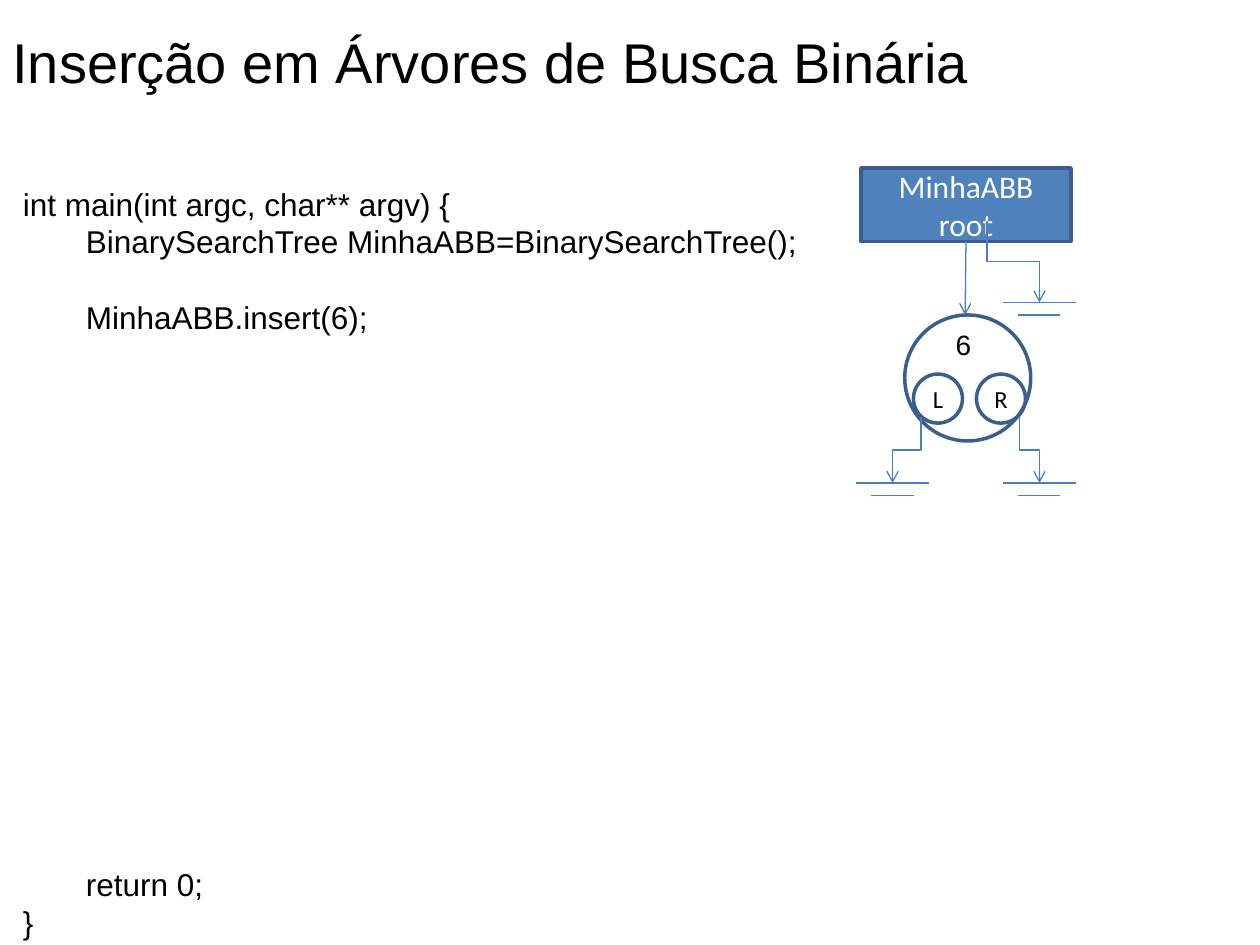
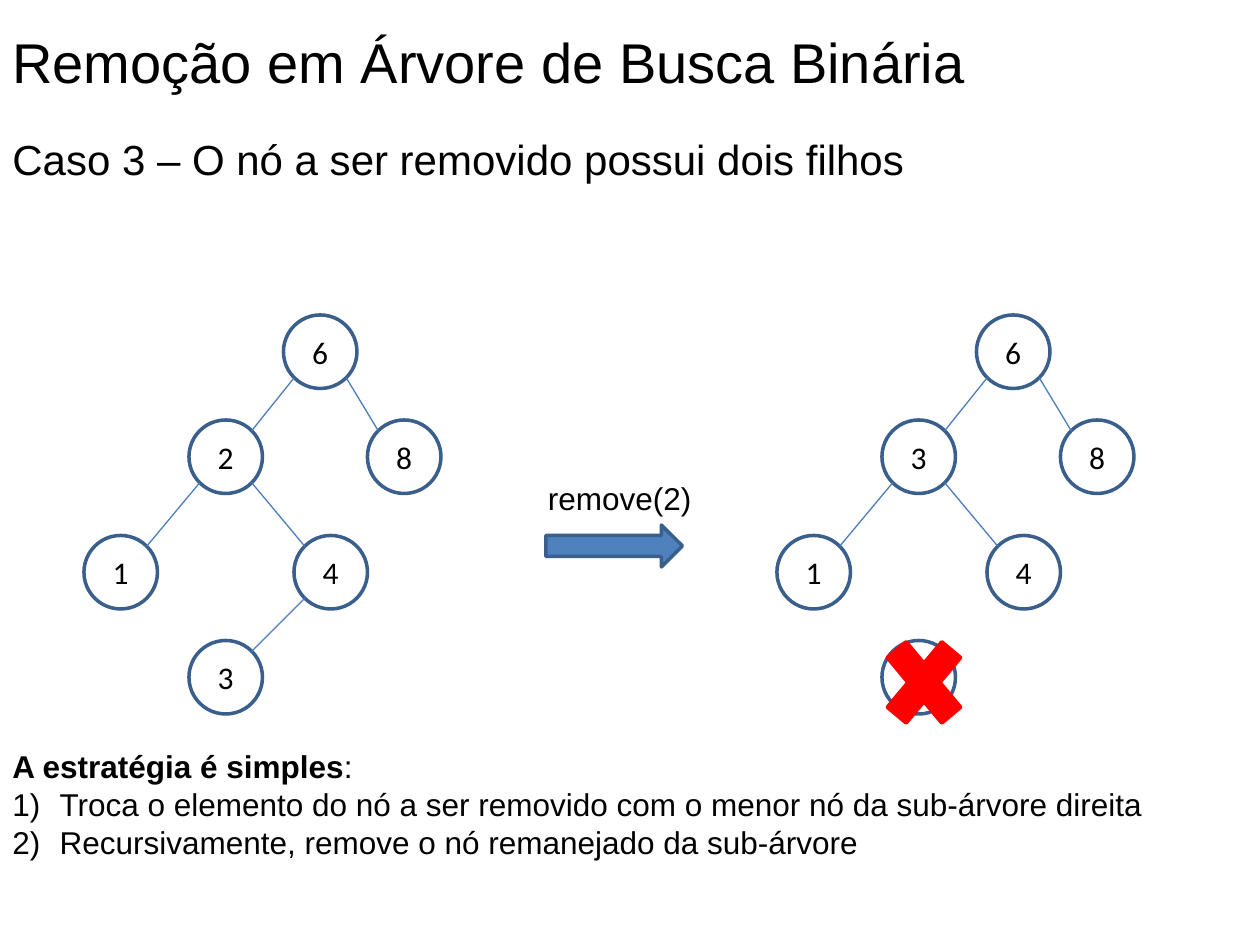
from math import sqrt
from lxml.etree import SubElement
from pptx import Presentation
from pptx.dml.color import RGBColor
from pptx.enum.shapes import MSO_CONNECTOR, MSO_SHAPE
from pptx.enum.text import MSO_ANCHOR, PP_ALIGN
from pptx.oxml.ns import qn
from pptx.util import Pt

BLACK, WHITE, RED = "000000", "FFFFFF", "FF0000"
BLUE, OUTLINE, LINK = "4F81BD", "3A5F8C", "4B7EBC"
CODE_SIZE = 18
LINE_FACTOR = 1.2

INSERTION_TITLE = "Inserção em Árvores de Busca Binária"
CODE = [
    ("int main(int argc, char** argv) {", 0),
    ("\tBinarySearchTree MinhaABB=BinarySearchTree();", 0),
    ("\tMinhaABB.insert(6);", 1),
    ("\treturn 0;", 14),
    ("}", 0),
]
ROOT_LABEL = ["MinhaABB", "root"]
ROOT_KEY = "6"
CHILD_POINTERS = [("L", 522), ("R", 558)]
NULL_LINKS = [
    ((564, 126), (594, 172.8)),
    ((526.3, 238.3), (510, 276)),
    ((582.5, 238.3), (594, 276)),
]

REMOVAL_TITLE = "Remoção em Árvore de Busca Binária"
CASE = "Caso 3 – O nó a ser removido possui dois filhos"
OPERATION = "remove(2)"
STRATEGY = "A estratégia é simples"
STEPS = [
    "Troca o elemento do nó a ser removido com o menor nó da sub-árvore direita",
    "Recursivamente, remove o nó remanejado da sub-árvore",
]
NODE_SIZE = 42
NODE_PLACES = {
    "root": (162, 180),
    "right": (210, 240),
    "left": (108, 240),
    "left.right": (168, 306),
    "successor": (108, 366),
    "left.left": (48, 306),
}
EDGES = [
    ("root", "right"),
    ("root", "left"),
    ("left", "left.right"),
    ("left", "left.left"),
]
TREES = [
    (0, ["6", "8", "2", "4", "3", "1"], EDGES + [("left.right", "successor")]),
    (396, ["6", "8", "3", "4", "", "1"], EDGES),
]


def color(value):
    return RGBColor.from_string(value)


def style(paragraph, size, font, ink):
    paragraph.font.size = Pt(size)
    paragraph.font.name = font
    paragraph.font.color.rgb = color(ink)


def add_text(slide, box, lines, size=CODE_SIZE, wrap=False, align=PP_ALIGN.LEFT):
    frame = slide.shapes.add_textbox(*map(Pt, box)).text_frame
    frame.word_wrap = wrap
    for index, line in enumerate(lines):
        paragraph = frame.paragraphs[0] if index == 0 else frame.add_paragraph()
        paragraph.text = line
        paragraph.alignment = align
        paragraph.line_spacing = Pt(size * LINE_FACTOR)
        style(paragraph, size, "Arial", BLACK)
    return frame.paragraphs


def add_title(slide, title):
    add_text(slide, (0, 12, 565, 46), [title], size=32)


def add_figure(slide, kind, box, fill=None, outline=OUTLINE, lines=(), size=18, ink=BLACK):
    figure = slide.shapes.add_shape(kind, *map(Pt, box))
    figure.shadow.inherit = False
    if fill:
        figure.fill.solid()
        figure.fill.fore_color.rgb = color(fill)
    else:
        figure.fill.background()
    figure.line.color.rgb = color(outline)
    figure.line.width = Pt(2)
    frame = figure.text_frame
    frame.vertical_anchor = MSO_ANCHOR.MIDDLE
    frame.margin_left = frame.margin_right = frame.margin_top = frame.margin_bottom = 0
    for index, line in enumerate(lines):
        paragraph = frame.paragraphs[0] if index == 0 else frame.add_paragraph()
        paragraph.text = line
        paragraph.alignment = PP_ALIGN.CENTER
        style(paragraph, size, "Calibri", ink)
    return figure


def add_link(slide, start, end, kind=MSO_CONNECTOR.STRAIGHT, arrow=False):
    link = slide.shapes.add_connector(kind, *map(Pt, start + end))
    link.line.color.rgb = color(LINK)
    link.line.width = Pt(0.75)
    if arrow:
        SubElement(link.line._get_or_add_ln(), qn("a:tailEnd"), type="arrow")
    SubElement(link._element.spPr, qn("a:effectLst"))
    return link


def add_null_link(slide, start, tip):
    (x1, y1), (x2, y2) = start, tip
    middle_x, middle_y = (x1 + x2) / 2, (y1 + y2) / 2
    side = 1 if x2 > x1 else -1
    half_run, half_rise = side * (y2 - y1) / 2, abs(x2 - x1) / 2
    elbow = add_link(
        slide,
        (middle_x + half_run, middle_y - half_rise),
        (middle_x - half_run, middle_y + half_rise),
        MSO_CONNECTOR.ELBOW,
        arrow=True,
    )
    degrees = 270 if side > 0 else 90
    elbow._element.spPr.find(qn("a:xfrm")).set("rot", str(degrees * 60000))
    for half_width, drop in ((21, 0), (12, 7.2)):
        add_link(slide, (x2 - half_width, y2 + drop), (x2 + half_width, y2 + drop))


def add_tree(slide, shift, keys, edges):
    centers = {}
    for (place, (left, top)), key in zip(NODE_PLACES.items(), keys):
        box = (left + shift, top, NODE_SIZE, NODE_SIZE)
        add_figure(slide, MSO_SHAPE.OVAL, box, lines=[key] if key else [])
        centers[place] = (left + shift + NODE_SIZE / 2, top + NODE_SIZE / 2)
    reach = NODE_SIZE / 2 / sqrt(2)
    for parent, child in edges:
        (px, py), (cx, cy) = centers[parent], centers[child]
        across = reach if cx > px else -reach
        add_link(slide, (px + across, py + reach), (cx - across, cy - reach))


def build_insertion(slide):
    add_title(slide, INSERTION_TITLE)
    root = add_figure(slide, MSO_SHAPE.RECTANGLE, (492, 96, 120, 42), BLUE,
                      lines=ROOT_LABEL, ink=WHITE)
    add_figure(slide, MSO_SHAPE.OVAL, (517, 180, 72, 72))
    add_text(slide, (520.5, 183.6, 60, 26.6), [ROOT_KEY], 16, True, PP_ALIGN.CENTER)
    for pointer, left in CHILD_POINTERS:
        add_figure(slide, MSO_SHAPE.OVAL, (left, 213.8, 28, 28), lines=[pointer], size=14)
    for start, tip in NULL_LINKS:
        add_null_link(slide, start, tip)
    root_link = add_link(slide, (552, 138), (551.5, 180), arrow=True)
    root_link.begin_connect(root, 2)
    code = add_text(slide, (6, 102, 497.5, 443.5), [line for line, _ in CODE])
    for paragraph, (_, gap) in zip(code, CODE):
        if gap:
            paragraph.space_before = Pt(gap * CODE_SIZE * LINE_FACTOR)


def build_removal(slide):
    add_title(slide, REMOVAL_TITLE)
    add_text(slide, (0, 72.7, 708, 36.7), [CASE], 24, True)
    for shift, keys, edges in TREES:
        add_tree(slide, shift, keys, edges)
    add_text(slide, (306, 270, 97, 29), [OPERATION])
    add_figure(slide, MSO_SHAPE.RIGHT_ARROW, (312, 300, 78, 24), BLUE)
    add_figure(slide, MSO_SHAPE.MATH_MULTIPLY, (498, 354, 60, 72), RED, RED)
    heading, *steps = add_text(slide, (0, 423.4, 720, 72.7), [STRATEGY] + STEPS, wrap=True)
    heading.runs[0].font.bold = True
    heading.add_run().text = ":"
    for step in steps:
        properties = step._p.get_or_add_pPr()
        properties.set("marL", str(Pt(27)))
        properties.set("indent", str(-Pt(27)))
        numbering = properties.makeelement(qn("a:buAutoNum"), {"type": "arabicParenR"})
        properties.find(qn("a:defRPr")).addprevious(numbering)


def main():
    deck = Presentation()
    deck.slide_width, deck.slide_height = Pt(720), Pt(540)
    for build in (build_insertion, build_removal):
        build(deck.slides.add_slide(deck.slide_layouts[6]))
    deck.save("out.pptx")


if __name__ == "__main__":
    main()
